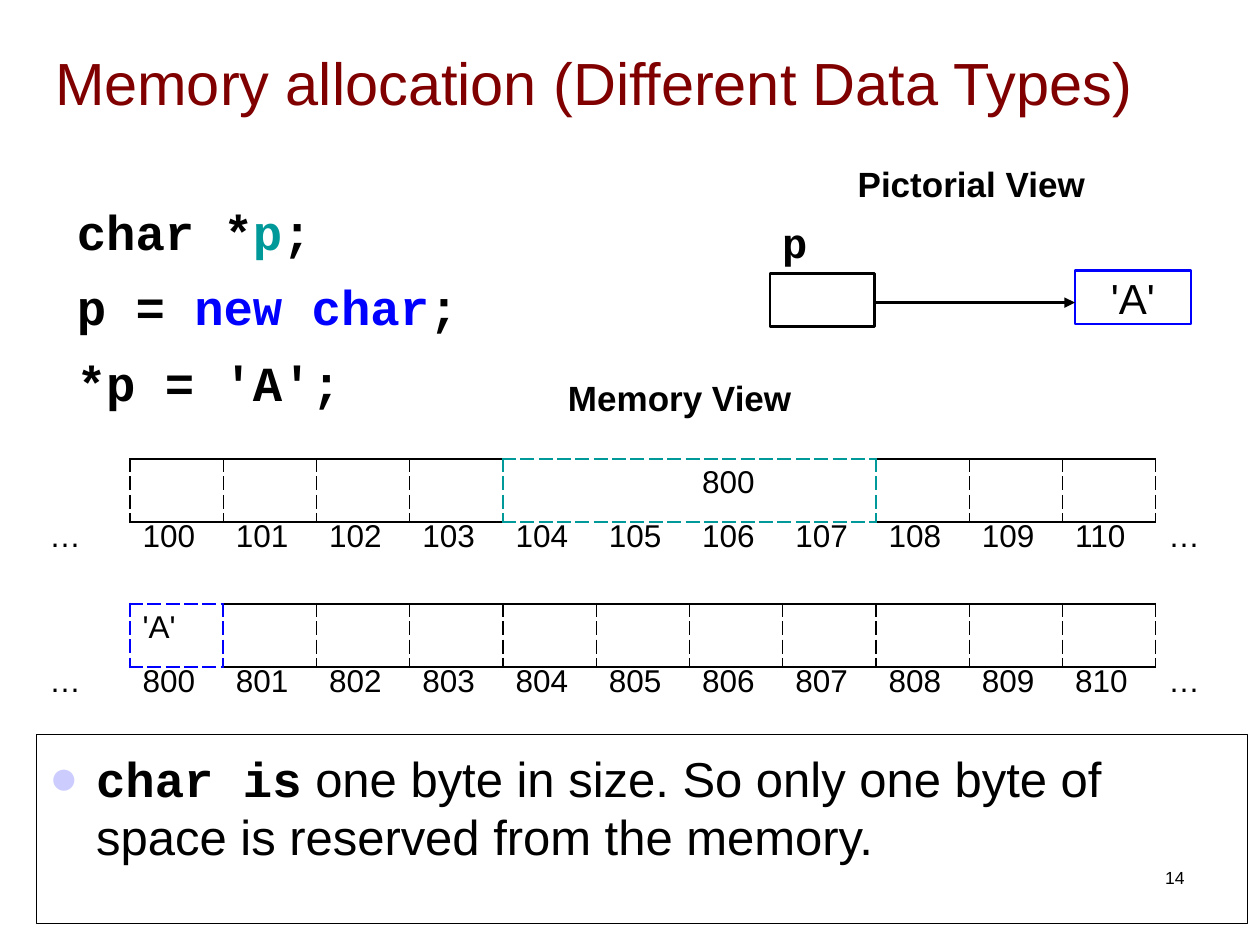
from dataclasses import dataclass, field
from typing import Optional

from lxml.etree import SubElement
from pptx import Presentation
from pptx.dml.color import RGBColor
from pptx.enum.shapes import MSO_CONNECTOR, MSO_SHAPE
from pptx.enum.text import MSO_ANCHOR, PP_ALIGN
from pptx.oxml import parse_xml
from pptx.oxml.ns import nsdecls, qn
from pptx.util import Cm, Pt

BLACK = RGBColor(0x00, 0x00, 0x00)
WHITE = RGBColor(0xFF, 0xFF, 0xFF)
MAROON = RGBColor(0x80, 0x00, 0x00)
TEAL = RGBColor(0x00, 0x99, 0x99)
BLUE = RGBColor(0x00, 0x00, 0xFF)
LAVENDER = RGBColor(0xCC, 0xCC, 0xFF)
SANS, MONO = "Arial", "Courier New"

BYTES = 11
CELL = 1.88           # width of one byte, cm
MEMORY_LEFT = 2.62
MEMORY_HEIGHT = 1.27
ADDRESS_DROP = 1.09   # from the top of a memory strip to its addresses
ADDRESS_HEIGHT = 1.02


@dataclass(frozen=True)
class Run:
    text: str
    size: float
    color: RGBColor = BLACK
    font: str = SANS
    bold: bool = False


@dataclass(frozen=True)
class Label:
    run: Run
    left: float
    top: float
    width: float
    height: float
    align: PP_ALIGN = PP_ALIGN.LEFT
    anchor: MSO_ANCHOR = MSO_ANCHOR.TOP
    wrap: bool = False


@dataclass(frozen=True)
class Edge:
    color: RGBColor
    width: float
    dashed: bool


@dataclass(frozen=True)
class Memory:
    top: float
    first_address: int
    used_from: int
    used_to: int      # one past the last used byte
    value_at: int
    value: str
    color: RGBColor


def code(text: str, color: RGBColor = BLACK) -> Run:
    return Run(text, 28, color, MONO, True)


LABELS = [
    Label(Run("Memory allocation (Different Data Types)", 34, MAROON),
          0.86, 0.36, 23.8, 2.57, anchor=MSO_ANCHOR.MIDDLE, wrap=True),
    Label(Run("Memory View", 20, bold=True), 11.2, 7.47, 5.03, 1.12),
    Label(Run("Pictorial View", 20, bold=True), 17.04, 3.15, 5.11, 1.12),
    Label(Run("p", 24, font=MONO, bold=True), 15.52, 4.24, 1.02, 1.27),
]
PAGE_NUMBER = Label(Run("14", 10), 18.21, 17.35, 5.92, 1.27,
                    align=PP_ALIGN.RIGHT, wrap=True)
CODE_LINES = [
    [code("char *"), code("p", TEAL), code(";")],
    [code("p = "), code("new char", BLUE), code(";")],
    [code("*p = 'A';")],
]
MEMORIES = [
    Memory(9.25, 100, 4, 8, 6, "800", TEAL),
    Memory(12.17, 800, 0, 1, 0, "'A'", BLUE),
]
THIN_DASH = Edge(BLACK, 0.75, True)
OUTLINE = Edge(BLACK, 1.08, False)


def write(paragraph, runs: list[Run]) -> None:
    for part in runs:
        run = paragraph.add_run()
        run.text = part.text
        run.font.size, run.font.name = Pt(part.size), part.font
        run.font.bold, run.font.color.rgb = part.bold, part.color


def add_label(shapes, label: Label) -> None:
    box = shapes.add_textbox(Cm(label.left), Cm(label.top),
                             Cm(label.width), Cm(label.height))
    frame = box.text_frame
    frame.word_wrap = label.wrap
    frame.vertical_anchor = label.anchor
    frame.paragraphs[0].alignment = label.align
    write(frame.paragraphs[0], [label.run])


def add_box(shapes, left: float, top: float, width: float, height: float,
            line: RGBColor, weight: float, fill: Optional[RGBColor] = None):
    box = shapes.add_shape(MSO_SHAPE.RECTANGLE, Cm(left), Cm(top), Cm(width), Cm(height))
    box.shadow.inherit = False
    if fill is None:
        box.fill.background()
    else:
        box.fill.solid()
        box.fill.fore_color.rgb = fill
    box.line.color.rgb, box.line.width = line, Pt(weight)
    return box


def set_borders(cell, edges: list[Optional[Edge]]) -> None:
    """Draw the left, right, top and bottom edges, in that order."""
    properties = cell._tc.get_or_add_tcPr()
    for position, (side, edge) in enumerate(zip("LRTB", edges)):
        border = parse_xml(f"<a:ln{side} {nsdecls('a')}/>")
        if edge is None:
            SubElement(border, qn("a:noFill"))
        else:
            border.set("w", str(Pt(edge.width)))
            paint = SubElement(border, qn("a:solidFill"))
            SubElement(paint, qn("a:srgbClr"), val=str(edge.color))
            SubElement(border, qn("a:prstDash"), val="dash" if edge.dashed else "solid")
        properties.insert(position, border)


def add_strip(shapes, left: float, top: float, height: float, texts: list[str]) -> list:
    """Add a one-row table and return its cells."""
    table = shapes.add_table(1, len(texts), Cm(left), Cm(top),
                             Cm(CELL * len(texts)), Cm(height)).table
    table.first_row = table.horz_banding = False
    for column, text in enumerate(texts):
        table.columns[column].width = Cm(CELL)
        cell = table.cell(0, column)
        cell.fill.background()
        if text:
            write(cell.text_frame.paragraphs[0], [Run(text, 18)])
    return [table.cell(0, column) for column in range(len(texts))]


def add_memory(shapes, memory: Memory) -> None:
    used_edge = Edge(memory.color, 1.47, True)

    def divider(position: int) -> Optional[Edge]:
        if position in (memory.used_from, memory.used_to):
            return used_edge
        inside = memory.used_from < position < memory.used_to
        return None if inside else THIN_DASH

    values = [memory.value if i == memory.value_at else "" for i in range(BYTES)]
    strip = add_strip(shapes, MEMORY_LEFT, memory.top, MEMORY_HEIGHT, values)
    for i, cell in enumerate(strip):
        used = memory.used_from <= i < memory.used_to
        rim = used_edge if used else OUTLINE
        set_borders(cell, [divider(i), divider(i + 1), rim, rim])

    addresses = [str(memory.first_address + i) for i in range(BYTES)]
    for cell in add_strip(shapes, MEMORY_LEFT - CELL, memory.top + ADDRESS_DROP,
                          ADDRESS_HEIGHT, ["…", *addresses, "…"]):
        set_borders(cell, [None] * 4)


def add_code(shapes) -> None:
    frame = shapes.add_textbox(Cm(1.3), Cm(3.73), Cm(13.31), Cm(4.83)).text_frame
    frame.word_wrap = True
    frame.margin_top = Cm(0.33)
    for number, line in enumerate(CODE_LINES):
        paragraph = frame.add_paragraph() if number else frame.paragraphs[0]
        if number:
            paragraph.space_before = Pt(9.5)
        write(paragraph, line)


def add_pointer(shapes) -> None:
    add_box(shapes, 15.52, 5.51, 2.11, 1.07, BLACK, 1.5, WHITE)
    target = add_box(shapes, 21.67, 5.46, 2.34, 1.07, BLUE, 1.5)
    target.text_frame.paragraphs[0].alignment = PP_ALIGN.CENTER
    write(target.text_frame.paragraphs[0], [Run("'A'", 24)])
    arrow = shapes.add_connector(MSO_CONNECTOR.STRAIGHT, Cm(17.63), Cm(6.1), Cm(21.67), Cm(6.1))
    arrow.line.color.rgb, arrow.line.width = BLACK, Pt(2)
    SubElement(arrow.line._get_or_add_ln(), qn("a:tailEnd"), type="triangle")
    SubElement(arrow._element.spPr, qn("a:effectLst"))


def add_explanation(shapes) -> None:
    frame = add_box(shapes, 0.74, 14.81, 24.41, 3.81, BLACK, 0.75).text_frame
    frame.word_wrap = True
    frame.vertical_anchor = MSO_ANCHOR.TOP
    frame.margin_top = Cm(0.27)
    paragraph = frame.paragraphs[0]
    paragraph.alignment = PP_ALIGN.LEFT
    properties = paragraph._p.get_or_add_pPr()
    properties.set("marL", str(Cm(0.95)))
    properties.set("indent", str(Cm(-0.95)))
    SubElement(SubElement(properties, qn("a:buClr")), qn("a:srgbClr"), val=str(LAVENDER))
    SubElement(properties, qn("a:buFont"), typeface=SANS)
    SubElement(properties, qn("a:buChar"), char="●")
    write(paragraph, [code("char is"), Run(
        " one byte in size. So only one byte of space is reserved from the memory.", 28)])


def main() -> None:
    deck = Presentation()
    deck.slide_width, deck.slide_height = Cm(25.4), Cm(19.05)
    shapes = deck.slides.add_slide(deck.slide_layouts[6]).shapes
    # Title, headings and code
    for label in LABELS:
        add_label(shapes, label)
    add_code(shapes)
    # Pictorial view and memory view
    add_pointer(shapes)
    for memory in MEMORIES:
        add_memory(shapes, memory)
    # Explanation and page number
    add_explanation(shapes)
    add_label(shapes, PAGE_NUMBER)
    deck.save("out.pptx")


if __name__ == "__main__":
    main()
